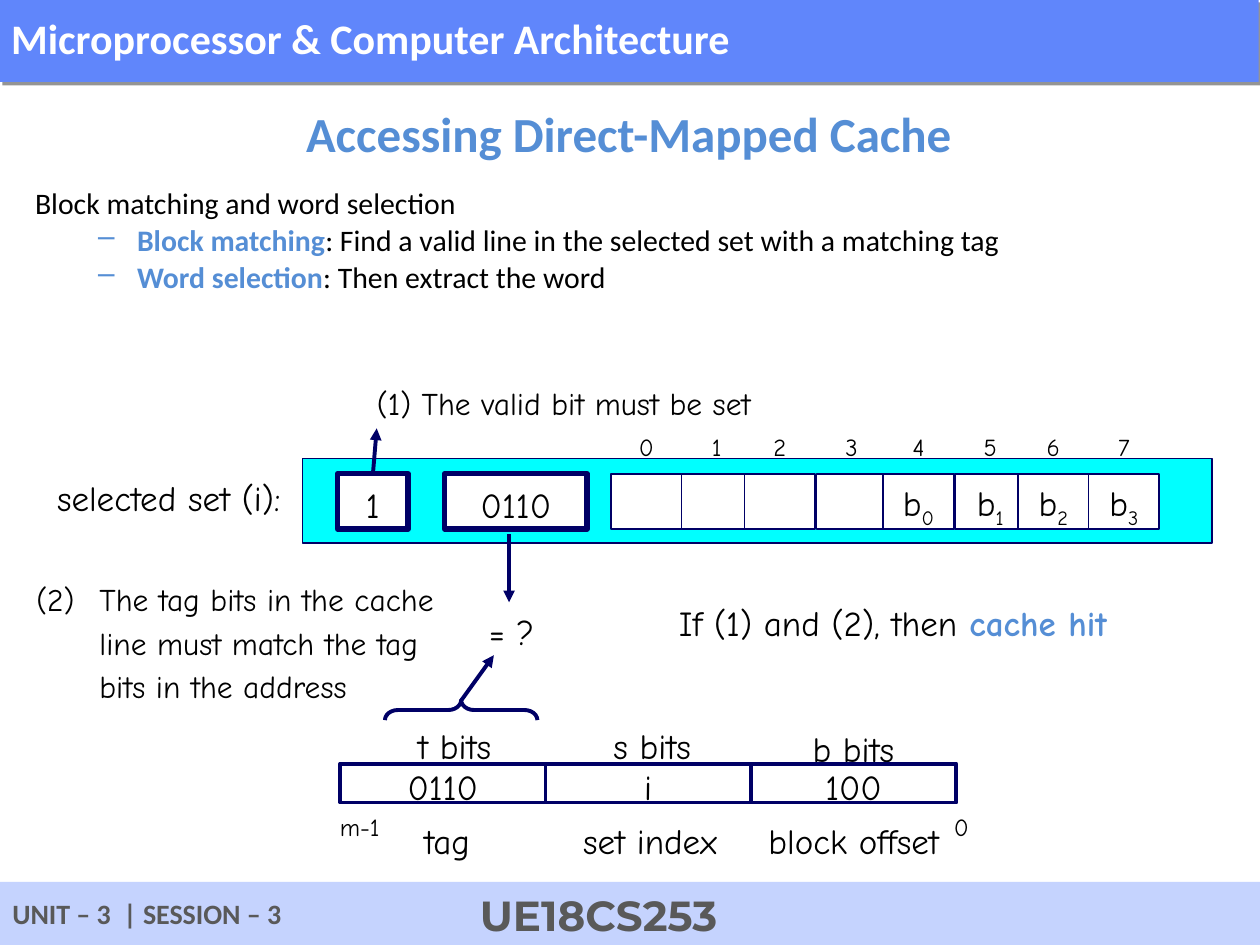
from lxml import etree
from pptx import Presentation
from pptx.dml.color import RGBColor
from pptx.enum import shapes, text
from pptx.oxml import ns
from pptx.util import Inches, Pt

NAVY, BLUE, BLACK, GREY = "000066", "558ED5", "000000", "595959"
PALE, WHITE = "C5D3FE", "FFFFFF"
LEFT, CENTER = text.PP_ALIGN.LEFT, text.PP_ALIGN.CENTER
TOP, MIDDLE = text.MSO_ANCHOR.TOP, text.MSO_ANCHOR.MIDDLE
hex_color = RGBColor.from_string

deck = Presentation()
deck.slide_width, deck.slide_height = Inches(10), Inches(7.5)
slide = deck.slides.add_slide(deck.slide_layouts[6])


def add_box(place, fill=None, line_width=None):
    """Rectangle at (left, top, width, height); a text box if it has no fill or line."""
    place = [Inches(length) for length in place]
    if not fill and not line_width:
        return slide.shapes.add_textbox(*place)
    box = slide.shapes.add_shape(shapes.MSO_SHAPE.RECTANGLE, *place)
    box.shadow.inherit = False
    if fill:
        box.fill.solid()
        box.fill.fore_color.rgb = hex_color(fill)
    else:
        box.fill.background()
    if line_width:
        box.line.color.rgb = hex_color(NAVY)
        box.line.width = Pt(line_width)
    else:
        box.line.fill.background()
    return box


def write(box, words, size=20, color=BLACK, align=CENTER, anchor=MIDDLE,
          font="Comic Neue", bold=False, spacing=1.16, wrap=False):
    box.text_frame.text = words
    box.text_frame.word_wrap = wrap
    box.text_frame.vertical_anchor = anchor
    for paragraph in box.text_frame.paragraphs:
        paragraph.alignment = align
        paragraph.line_spacing = spacing
        for run in paragraph.runs:
            run.font.name, run.font.size, run.font.bold = font, Pt(size), bold
            run.font.color.rgb = hex_color(color)
    return box.text_frame.paragraphs


# Header and footer
header = add_box((-0.01, -0.01, 10, 0.66), "6086FB")
write(header, "Microprocessor & Computer Architecture", 24, WHITE, LEFT,
      font="Calibri", bold=True, spacing=0.93, wrap=True)
effects = header._element.spPr.find(ns.qn("a:effectLst"))
shadow = etree.SubElement(effects, ns.qn("a:outerShdw"), dist=str(Pt(3)), dir="2700000")
shadow_color = etree.SubElement(shadow, ns.qn("a:srgbClr"), val=BLACK)
etree.SubElement(shadow_color, ns.qn("a:alpha"), val="41000")

add_box((0, 7, 10, 0.5), PALE)
write(add_box((0, 7.09, 3.27, 0.36), PALE), "UNIT – 3  | SESSION – 3", 16, GREY,
      LEFT, TOP, "Calibri", True, 0.93)
write(add_box((3.71, 7.05, 1.88, 0.4), PALE), "UE18CS253", 24, GREY,
      LEFT, TOP, "Montserrat", True, 0.93)

# Title and introduction
write(add_box((-0.01, 0.63, 10, 0.85)), "Accessing Direct-Mapped Cache", 28, BLUE,
      font="Calibri", bold=True, spacing=1.0, wrap=True)

steps = [("Block matching", ": Find a valid line in the selected set with a matching tag"),
         ("Word selection", ": Then extract the word")]
intro = add_box((0.18, 1.47, 9.57, 1.06))
write(intro, "Block matching and word selection", 17, align=LEFT, anchor=TOP,
      font="Calibri", spacing=0.8, wrap=True)
for term, meaning in steps:
    step = intro.text_frame.add_paragraph()
    step.level = 1
    step.line_spacing, step.space_before = 0.8, Pt(5)
    properties = step._p.get_or_add_pPr()
    properties.set("marL", str(Inches(0.81)))
    properties.set("indent", str(Inches(-0.31)))
    bullet_color = etree.SubElement(properties, ns.qn("a:buClr"))
    etree.SubElement(bullet_color, ns.qn("a:srgbClr"), val=BLUE)
    etree.SubElement(properties, ns.qn("a:buChar"), char="–")
    for words, color, bold in ((term, BLUE, True), (meaning, BLACK, False)):
        run = step.add_run()
        run.text = words
        run.font.name, run.font.size, run.font.bold = "Calibri", Pt(17), bold
        run.font.color.rgb = hex_color(color)

# Address fields, with their widths above and names below
for words, place in [("t bits", (3.22, 5.65, 0.85, 0.48)),
                     ("s bits", (4.77, 5.65, 0.88, 0.48)),
                     ("b bits", (6.35, 5.67, 0.92, 0.48)),
                     ("tag", (3.27, 6.4, 0.64, 0.48)),
                     ("set index", (4.53, 6.4, 1.33, 0.48)),
                     ("block offset", (6, 6.4, 1.62, 0.48))]:
    write(add_box(place), words, align=LEFT, anchor=TOP)
for index, value in enumerate(["0110", "i", "100"]):
    write(add_box((2.7 + 1.63 * index, 6.06, 1.63, 0.31), line_width=2.25), value)
write(add_box((2.55, 6.36, 0.61, 0.37)), "m-1", 14)
write(add_box((7.47, 6.36, 0.32, 0.37)), "0", 14)

# Selected set: valid bit, tag and block words
write(add_box((0.3, 3.68, 2.08, 0.49)), "selected set (i):")
add_box((2.4, 3.64, 7.22, 0.67), "00FFFF", 1)
valid_bit = add_box((2.68, 3.76, 0.56, 0.44), WHITE, 3)
write(valid_bit, "1")
write(add_box((3.53, 3.76, 1.13, 0.44), WHITE, 3), "0110")
for index, left in enumerate([4.85, 5.41, 5.91, 6.48, 7.01, 7.58, 8.08, 8.64]):
    write(add_box((left, 3.31, 0.56, 0.44)), str(index), 14)
    cell = add_box((left, 3.76, 0.56, 0.44), WHITE, 1)
    if index >= 4:
        word = write(cell, "b")[0]
        subscript = word.add_run()
        subscript.text = str(index - 4)
        subscript.font.name, subscript.font.size = "Comic Neue", Pt(20)
        subscript.font.color.rgb = hex_color(BLACK)
        subscript.font._element.set("baseline", "-25000")

# Conditions for a hit
write(add_box((2.84, 2.95, 3.27, 0.45)), "(1) The valid bit must be set", 18)
write(add_box((3.73, 4.74, 0.66, 0.49)), "= ?")
tag_rule = write(add_box((0.19, 4.5, 3.41, 1.15)),
                 "(2)\tThe tag bits in the cache line must match the tag bits in the address",
                 18, align=LEFT, wrap=True)[0]
tag_rule._p.get_or_add_pPr().set("marL", str(Inches(0.5)))
tag_rule._p.get_or_add_pPr().set("indent", str(Inches(-0.5)))
verdict = write(add_box((5.29, 4.67, 4.34, 0.49)), "If (1) and (2), then ",
                align=LEFT, wrap=True)[0]
hit = verdict.add_run()
hit.text = "cache hit"
hit.font.name, hit.font.size, hit.font.bold = "Comic Neue", Pt(20), True
hit.font.color.rgb = hex_color(BLUE)

brace = slide.shapes.add_shape(shapes.MSO_SHAPE.RIGHT_BRACE, Inches(3.58), Inches(5.03),
                               Inches(0.16), Inches(1.21))
brace.rotation = 270
brace.adjustments[0] = 0.64
brace.shadow.inherit = False
brace.fill.background()
brace.line.color.rgb = hex_color(NAVY)
brace.line.width = Pt(2.25)

arrows = []
for ends in [(2.96, 3.76, 2.99, 3.4), (4.04, 4.24, 4.04, 4.78), (3.66, 5.56, 3.92, 5.2)]:
    arrow = slide.shapes.add_connector(shapes.MSO_CONNECTOR.STRAIGHT,
                                       *[Inches(length) for length in ends])
    arrow.line.color.rgb = hex_color(NAVY)
    arrow.line.width = Pt(2.25)
    etree.SubElement(arrow.line._get_or_add_ln(), ns.qn("a:tailEnd"), type="triangle")
    etree.SubElement(arrow._element.spPr, ns.qn("a:effectLst"))
    arrows.append(arrow)
arrows[0].begin_connect(valid_bit, 0)

deck.save("out.pptx")
